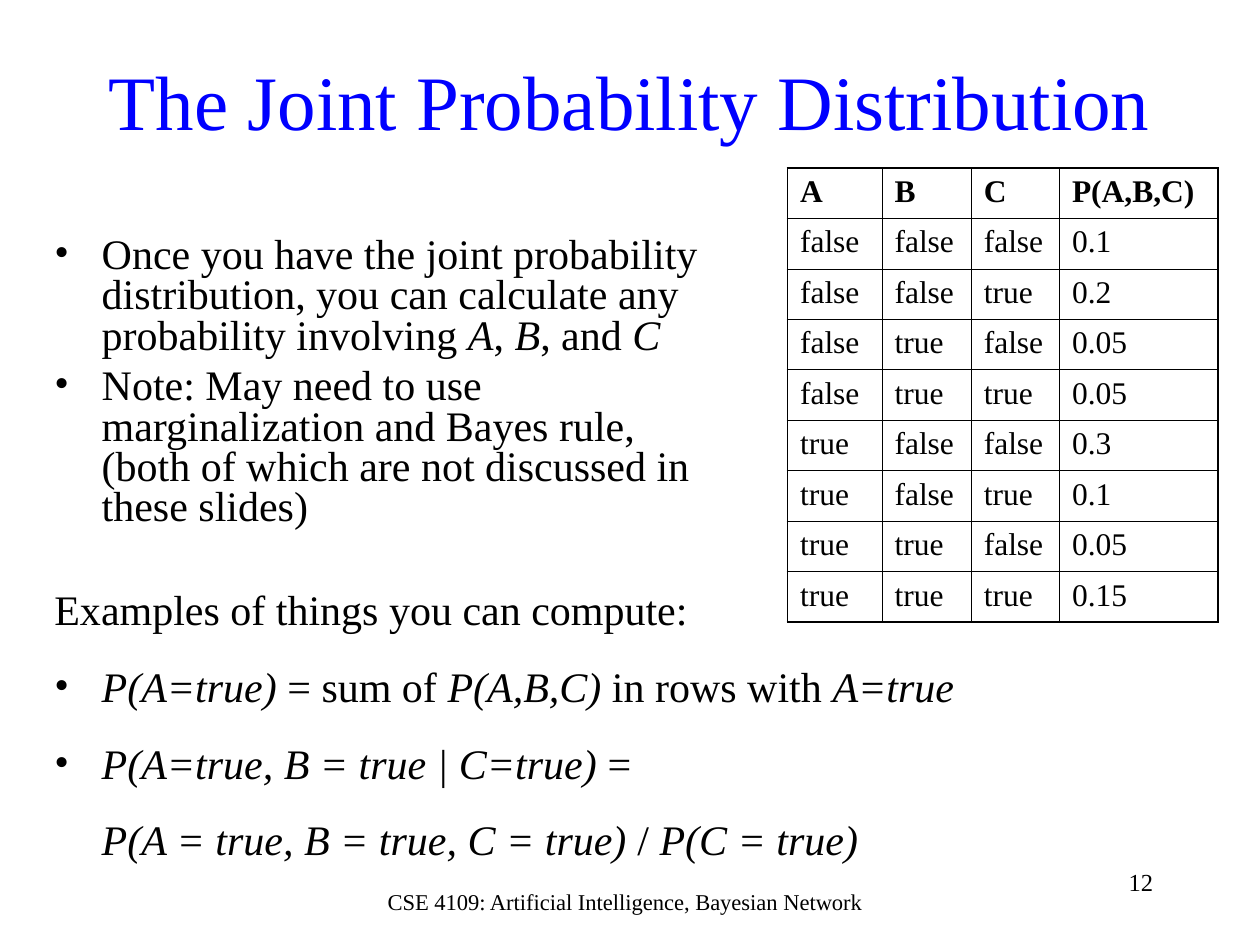
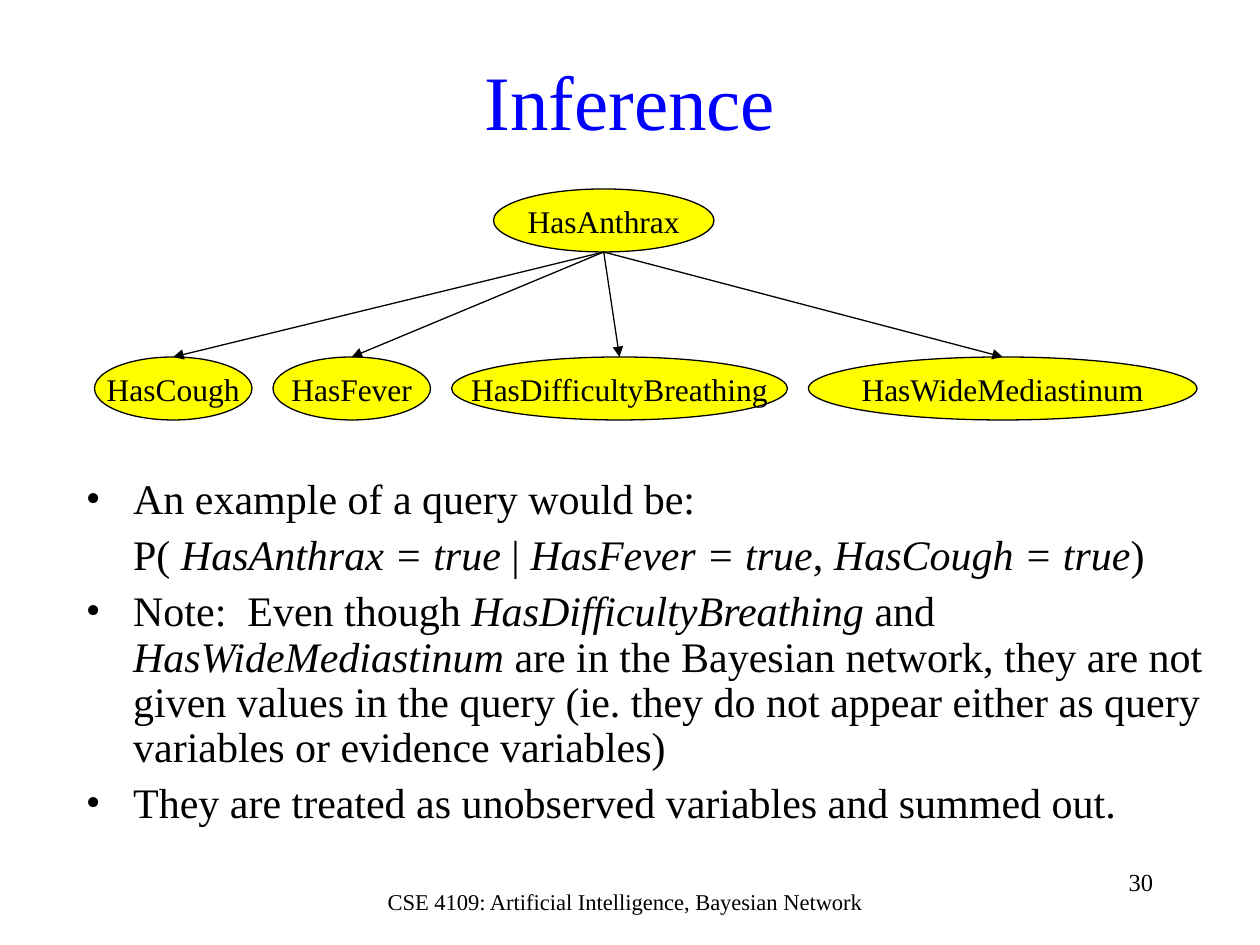
import pptx
import pptx.dml.color
import pptx.enum.shapes
import pptx.enum.text
import pptx.oxml.ns
import pptx.util
import lxml.etree

SCALE = 7620
FONT = "Times New Roman"
BLACK, BLUE, YELLOW = "000000", "0000FF", "FFFF00"
FOOTER = "CSE 4109: Artificial Intelligence, Bayesian Network"
ALIGN = pptx.enum.text.PP_ALIGN
ANCHOR = pptx.enum.text.MSO_ANCHOR
HANG = 45
THIN, THICK = 0.45, 1.08


def px(count):
    return pptx.util.Emu(count * SCALE)


def color(code):
    return pptx.dml.color.RGBColor.from_string(code)


def node(parent, tag, **attrs):
    return lxml.etree.SubElement(parent, pptx.oxml.ns.qn(tag), attrs)


def write(para, text, size=24, ink=BLACK, bold=False, align=ALIGN.LEFT):
    para.alignment = align
    for index, part in enumerate(text.split("*")):
        if part:
            run = para.add_run()
            run.text = part
            font = run.font
            font.name, font.size = FONT, pptx.util.Pt(size)
            font.bold, font.italic = bold, index % 2 == 1
            font.color.rgb = color(ink)


def add_box(slide, left, top, width, height, anchor=ANCHOR.TOP):
    frame = slide.shapes.add_textbox(px(left), px(top), px(width), px(height)).text_frame
    frame.word_wrap = True
    frame.vertical_anchor = anchor
    return frame


def add_label(slide, place, text, anchor=ANCHOR.TOP, **style):
    write(add_box(slide, *place, anchor).paragraphs[0], text, **style)


def add_list(slide, place, items, before, spacing=1.0):
    frame = add_box(slide, *place)
    for index, (kind, text) in enumerate(items):
        para = frame.add_paragraph() if index else frame.paragraphs[0]
        para.line_spacing = spacing
        para.space_before = pptx.util.Pt(before if index else 0)
        props = para._p.get_or_add_pPr()
        props.set("marL", str(0 if kind == "plain" else px(HANG)))
        props.set("indent", str(-px(HANG) if kind == "bullet" else 0))
        if kind == "bullet":
            node(node(props, "a:buClr"), "a:srgbClr", val=BLACK)
            node(props, "a:buFont", typeface=FONT)
            node(props, "a:buChar", char="•")
        else:
            node(props, "a:buNone")
        write(para, text)


def add_edge(cell, side, weight):
    line = node(cell._tc.get_or_add_tcPr(), "a:ln" + side, w=str(pptx.util.Pt(weight)))
    node(node(line, "a:solidFill"), "a:srgbClr", val=BLACK)


def add_grid(slide, left, top, widths, height, rows):
    last_row, last_col = len(rows) - 1, len(widths) - 1
    frame = slide.shapes.add_table(len(rows), len(widths), px(left), px(top),
                                   px(sum(widths)), px(height * len(rows)))
    table = frame.table
    table.first_row = table.horz_banding = False
    for col, width in zip(table.columns, widths):
        col.width = px(width)
    for r, row in enumerate(rows):
        table.rows[r].height = px(height)
        for c, text in enumerate(row):
            cell = table.cell(r, c)
            outer = {"L": c == 0, "R": c == last_col, "T": r == 0, "B": r == last_row}
            for side, rim in outer.items():
                add_edge(cell, side, THICK if rim else THIN)
            cell.fill.background()
            write(cell.text_frame.paragraphs[0], text, size=18, bold=r == 0)


def add_oval(slide, left, top, width, text):
    oval = slide.shapes.add_shape(pptx.enum.shapes.MSO_SHAPE.OVAL,
                                  px(left), px(top), px(width), px(60))
    oval.shadow.inherit = False
    oval.fill.solid()
    oval.fill.fore_color.rgb = color(YELLOW)
    oval.line.color.rgb = color(BLACK)
    oval.line.width = pptx.util.Pt(0.75)
    oval.text_frame.word_wrap = False
    oval.text_frame.vertical_anchor = ANCHOR.MIDDLE
    write(oval.text_frame.paragraphs[0], text, size=18, align=ALIGN.CENTER)
    return oval


def add_arrow(slide, parent, child):
    arrow = slide.shapes.add_connector(
        pptx.enum.shapes.MSO_CONNECTOR.STRAIGHT,
        parent.left + parent.width // 2, parent.top + parent.height,
        child.left + child.width // 2, child.top)
    arrow.end_connect(child, 0)
    arrow.line.color.rgb = color(BLACK)
    arrow.line.width = pptx.util.Pt(0.75)
    node(arrow.line._get_or_add_ln(), "a:tailEnd", type="triangle")
    node(arrow._element.spPr, "a:effectLst")


def add_page(deck, title, number):
    slide = deck.slides.add_slide(deck.slide_layouts[6])
    add_label(slide, (290, 840, 610, 40), FOOTER, size=12.9, align=ALIGN.CENTER)
    add_label(slide, (980, 820, 130, 60), str(number), size=14, align=ALIGN.RIGHT)
    add_label(slide, (90, 20, 1020, 150), title, ANCHOR.MIDDLE,
              size=44, ink=BLUE, align=ALIGN.CENTER)
    return slide


def build_joint(deck):
    slide = add_page(deck, "The Joint Probability Distribution", 12)
    add_list(slide, (40, 220, 640, 300), [
        ("bullet", "Once you have the joint probability distribution, you can calculate "
                   "any probability involving *A*, *B*, and *C*"),
        ("bullet", "Note: May need to use marginalization and Bayes rule, "
                   "(both of which are not discussed in these slides)"),
    ], before=6, spacing=0.8)
    add_grid(slide, 750, 160, (90, 85, 84, 151), 48, [
        ("A", "B", "C", "P(A,B,C)"),
        ("false", "false", "false", "0.1"),
        ("false", "false", "true", "0.2"),
        ("false", "true", "false", "0.05"),
        ("false", "true", "true", "0.05"),
        ("true", "false", "false", "0.3"),
        ("true", "false", "true", "0.1"),
        ("true", "true", "false", "0.05"),
        ("true", "true", "true", "0.15"),
    ])
    add_list(slide, (40, 550, 900, 280), [
        ("plain", "Examples of things you can compute:"),
        ("bullet", "*P(A=true)* = sum of *P(A,B,C)* in rows with *A=true*"),
        ("bullet", "*P(A=true, B = true | C=true)* ="),
        ("inset", "*P(A = true, B = true, C = true)* / *P(C = true)*"),
    ], before=15)


def build_query(deck):
    slide = add_page(deck, "Inference", 30)
    add_list(slide, (70, 450, 1090, 350), [
        ("bullet", "An example of a query would be:"),
        ("inset", "P( *HasAnthrax = true* | *HasFever = true*, *HasCough = true*)"),
        ("bullet", "Note:  Even though *HasDifficultyBreathing* and *HasWideMediastinum* "
                   "are in the Bayesian network, they are not given values in the query "
                   "(ie. they do not appear either as query variables or evidence variables)"),
        ("bullet", "They are treated as unobserved variables and summed out."),
    ], before=6, spacing=0.9)
    cause = add_oval(slide, 470, 180, 210, "HasAnthrax")
    left, gap = 90, 20
    signs = []
    for text, width in (("HasCough", 150), ("HasFever", 150),
                        ("HasDifficultyBreathing", 320), ("HasWideMediastinum", 370)):
        signs.append(add_oval(slide, left, 340, width, text))
        left += width + gap
    for sign in signs:
        add_arrow(slide, cause, sign)


def main():
    deck = pptx.Presentation()
    deck.slide_width, deck.slide_height = px(1200), px(900)
    build_joint(deck)
    build_query(deck)
    deck.save("out.pptx")


if __name__ == "__main__":
    main()
